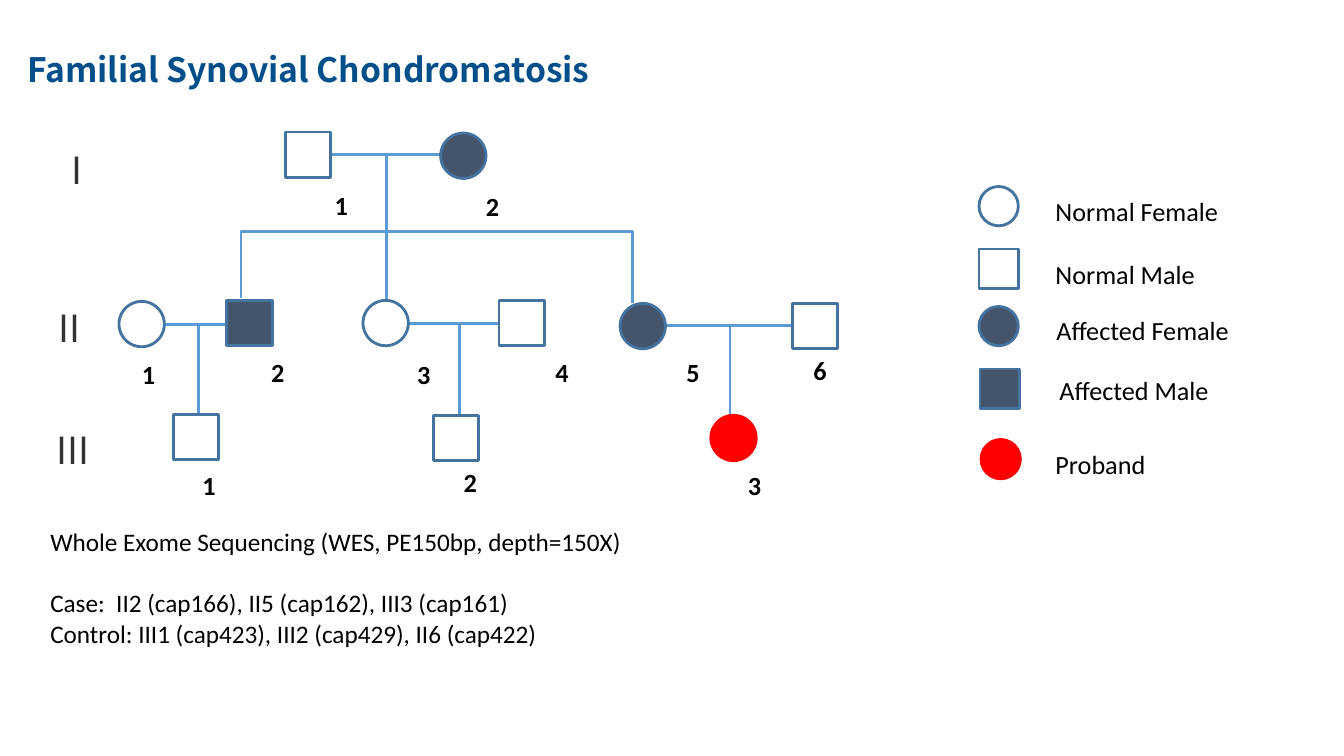
from dataclasses import dataclass
from enum import Enum

from lxml import etree
from pptx import Presentation
from pptx import util as u
from pptx.dml.color import RGBColor
from pptx.enum import shapes, text
from pptx.oxml.ns import qn

GRID = u.Inches(0.1)
COLUMNS, ROWS = 133.3, 75
SYMBOL, KEY = 4.5, 3.9


@dataclass(frozen=True)
class Theme:
    title: str = "004F8A"
    ink: str = "000000"
    numeral: str = "333333"
    outline: str = "43739E"
    kinship: str = "5B9BD5"
    heading_font: str = "Noto Sans CJK SC"
    body_font: str = "Calibri"
    title_size: float = 24
    numeral_size: float = 26.7
    label_size: float = 18.7
    body_size: float = 18
    line: float = 2


THEME = Theme()


class Sex(Enum):
    MALE = shapes.MSO_SHAPE.RECTANGLE
    FEMALE = shapes.MSO_SHAPE.OVAL


class Status(Enum):
    NORMAL = ("FFFFFF", THEME.outline)
    AFFECTED = ("44546A", THEME.outline)
    PROBAND = ("FF0000", "FF0000")


@dataclass(frozen=True)
class Person:
    number: str
    col: float
    row: float
    sex: Sex
    status: Status
    label_col: float
    label_row: float


@dataclass(frozen=True)
class Couple:
    left: str
    right: str
    child: str
    bar_row: float
    drop_col: float


@dataclass(frozen=True)
class LegendEntry:
    caption: str
    col: float
    row: float
    sex: Sex
    status: Status
    caption_col: float
    caption_row: float


FAMILY = {
    "I1": Person("1", 28.3, 13.1, Sex.MALE, Status.NORMAL, 32.2, 18.3),
    "I2": Person("2", 43.7, 13.2, Sex.FEMALE, Status.AFFECTED, 47.2, 18.4),
    "II1": Person("1", 11.8, 29.9, Sex.FEMALE, Status.NORMAL, 13.1, 35.1),
    "II2": Person("2", 22.5, 29.8, Sex.MALE, Status.AFFECTED, 25.9, 34.9),
    "II3": Person("3", 36, 29.8, Sex.FEMALE, Status.NORMAL, 40.4, 35.1),
    "II4": Person("4", 49.5, 29.8, Sex.MALE, Status.NORMAL, 54.1, 34.9),
    "II5": Person("5", 61.5, 30.1, Sex.FEMALE, Status.AFFECTED, 67.1, 34.9),
    "II6": Person("6", 78.6, 30.1, Sex.MALE, Status.NORMAL, 79.7, 34.7),
    "III1": Person("1", 17.2, 41.1, Sex.MALE, Status.NORMAL, 19.1, 46.1),
    "III2": Person("2", 43, 41.2, Sex.MALE, Status.NORMAL, 45, 45.8),
    "III3": Person("3", 70.5, 41.2, Sex.FEMALE, Status.PROBAND, 73.2, 46.1),
}
COUPLES = [
    Couple("I1", "I2", "II3", 15.3, 38.3),
    Couple("II1", "II2", "III1", 32.2, 19.7),
    Couple("II3", "II4", "III2", 32.1, 45.6),
    Couple("II5", "II6", "III3", 32.3, 72.4),
]
SIBLING_BRANCHES = [(38.6, 23, 23.9, 29.6), (35.3, 23, 62.7, 30.1)]
GENERATIONS = [("I", 6.1, 14.4, 3.1), ("II", 4.8, 30, 4.2), ("III", 4.6, 42.1, 5.3)]
LEGEND = [
    LegendEntry("Normal Female", 97.1, 18.5, Sex.FEMALE, Status.NORMAL, 103.7, 18.9),
    LegendEntry("Normal Male", 97.1, 24.7, Sex.MALE, Status.NORMAL, 103.7, 25.1),
    LegendEntry("Affected Female", 97.1, 30.4, Sex.FEMALE, Status.AFFECTED, 103.8, 30.7),
    LegendEntry("Affected Male", 97.2, 36.6, Sex.MALE, Status.AFFECTED, 104.1, 36.6),
    LegendEntry("Proband", 97.3, 43.6, Sex.FEMALE, Status.PROBAND, 103.7, 44),
]

deck = Presentation()
deck.slide_width, deck.slide_height = int(COLUMNS * GRID), ROWS * GRID
slide = deck.slides.add_slide(deck.slide_layouts[6])


def cells(*counts: float) -> list[int]:
    return [round(count * GRID) for count in counts]


def write(words: str, col: float, row: float, width: float, height: float, *,
          size: float = THEME.label_size, font: str = THEME.body_font,
          color: str = THEME.ink, bold: bool = False, wrap: bool = False,
          anchor: text.MSO_ANCHOR = text.MSO_ANCHOR.TOP) -> None:
    frame = slide.shapes.add_textbox(*cells(col, row, width, height)).text_frame
    frame.word_wrap = wrap
    frame.vertical_anchor = anchor
    frame.text = words
    for paragraph in frame.paragraphs:
        style = paragraph.runs[0].font
        style.name, style.size, style.bold = font, u.Pt(size), bold
        style.color.rgb = RGBColor.from_string(color)
        east_asian = etree.SubElement(paragraph.runs[0]._r.rPr, qn("a:ea"))
        east_asian.set("typeface", font)


def draw_symbol(sex: Sex, status: Status, col: float, row: float, side: float) -> None:
    symbol = slide.shapes.add_shape(sex.value, *cells(col, row, side, side))
    fill, outline = status.value
    symbol.shadow.inherit = False
    symbol.fill.solid()
    symbol.fill.fore_color.rgb = RGBColor.from_string(fill)
    symbol.line.color.rgb = RGBColor.from_string(outline)
    symbol.line.width = u.Pt(THEME.line)


def connect(col: float, row: float, end_col: float, end_row: float,
            bent: bool = False) -> None:
    kind = shapes.MSO_CONNECTOR.ELBOW if bent else shapes.MSO_CONNECTOR.STRAIGHT
    link = slide.shapes.add_connector(kind, *cells(col, row, end_col, end_row))
    link.line.color.rgb = RGBColor.from_string(THEME.kinship)
    link.line.width = u.Pt(THEME.line)
    properties = link._element.spPr
    etree.SubElement(properties, qn("a:effectLst"))
    if bent:
        properties.find(qn("a:prstGeom")).set("prst", "bentConnector2")


def draw_couple(couple: Couple) -> None:
    left, right = FAMILY[couple.left], FAMILY[couple.right]
    connect(left.col + SYMBOL, couple.bar_row, right.col, couple.bar_row)
    connect(couple.drop_col, couple.bar_row, couple.drop_col, FAMILY[couple.child].row)


def draw_person(person: Person) -> None:
    draw_symbol(person.sex, person.status, person.col, person.row, SYMBOL)
    write(person.number, person.label_col, person.label_row, 3.4, 3.7, bold=True)


def draw_legend_entry(entry: LegendEntry) -> None:
    draw_symbol(entry.sex, entry.status, entry.col, entry.row, KEY)
    write(entry.caption, entry.caption_col, entry.caption_row, 27.6, 3.1, wrap=True)


write("Familial Synovial Chondromatosis", 1.7, 4.4, 77.4, 5, size=THEME.title_size,
      font=THEME.heading_font, color=THEME.title, bold=True, wrap=True,
      anchor=text.MSO_ANCHOR.MIDDLE)
for couple in COUPLES:
    draw_couple(couple)
for branch in SIBLING_BRANCHES:
    connect(*branch, bent=True)
for person in FAMILY.values():
    draw_person(person)
for numeral, col, row, width in GENERATIONS:
    write(numeral, col, row, width, 4.9, size=THEME.numeral_size,
          font=THEME.heading_font, color=THEME.numeral, anchor=text.MSO_ANCHOR.MIDDLE)
for entry in LEGEND:
    draw_legend_entry(entry)
write("Whole Exome Sequencing (WES, PE150bp, depth=150X)", 4, 51.7, 58.8, 4,
      size=THEME.body_size)
write("Case:  II2 (cap166), II5 (cap162), III3 (cap161)\n"
      "Control: III1 (cap423), III2 (cap429), II6 (cap422)", 4, 57.8, 50.8, 7.1,
      size=THEME.body_size)

deck.save("out.pptx")
